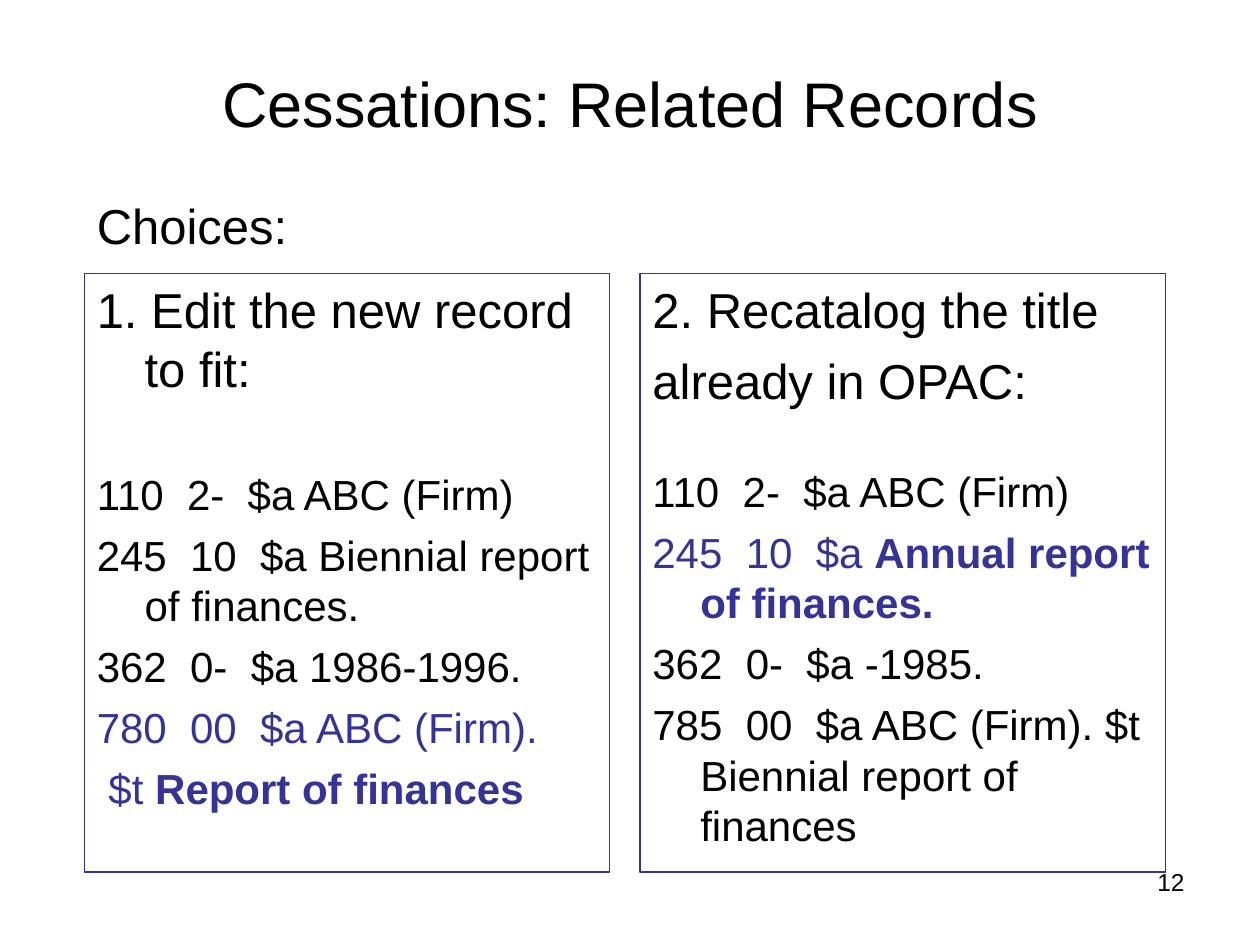
from dataclasses import dataclass

from pptx import Presentation
from pptx.dml.color import RGBColor
from pptx.enum import shapes, text
from pptx.util import Inches, Pt


@dataclass(frozen=True)
class Theme:
    font: str = "Arial"
    ink: RGBColor = RGBColor(0x00, 0x00, 0x00)
    accent: RGBColor = RGBColor(0x33, 0x33, 0x99)
    title: int = 36
    heading: int = 28
    field: int = 24
    number: int = 14


THEME = Theme()


@dataclass(frozen=True)
class Line:
    plain: str
    bold: str = ""
    size: int = THEME.field
    color: RGBColor = THEME.ink
    before: float = 6


@dataclass(frozen=True)
class Choice:
    left: float
    lines: tuple[Line, ...]


CHOICES = (
    Choice(0.67, (
        Line("1. Edit the new record to fit:", size=THEME.heading, before=0),
        Line("110  2-  $a ABC (Firm)", before=40.5),
        Line("245  10  $a Biennial report of finances."),
        Line("362  0-  $a 1986-1996."),
        Line("780  00  $a ABC (Firm).", color=THEME.accent),
        Line(" $t ", "Report of finances", color=THEME.accent),
    )),
    Choice(5.08, (
        Line("2. Recatalog the title", size=THEME.heading, before=0),
        Line("already in OPAC:", size=THEME.heading, before=7),
        Line("110  2-  $a ABC (Firm)", before=32),
        Line("245  10  $a ", "Annual report of finances.", color=THEME.accent),
        Line("362  0-  $a -1985."),
        Line("785  00  $a ABC (Firm). $t Biennial report of finances"),
    )),
)


def add_run(paragraph, content: str, *, size: int, color: RGBColor = THEME.ink,
            bold: bool = False) -> None:
    run = paragraph.add_run()
    run.text = content
    run.font.name = THEME.font
    run.font.size = Pt(size)
    run.font.bold = bold
    run.font.color.rgb = color


def place(shape, left: float, top: float, width: float, height: float) -> None:
    shape.left, shape.top = Inches(left), Inches(top)
    shape.width, shape.height = Inches(width), Inches(height)


def add_label(slide, content: str, left: float, top: float, width: float,
              height: float, *, size: int, align, wrap: bool) -> None:
    label = slide.shapes.add_textbox(Inches(left), Inches(top),
                                     Inches(width), Inches(height))
    label.text_frame.word_wrap = wrap
    paragraph = label.text_frame.paragraphs[0]
    paragraph.alignment = align
    add_run(paragraph, content, size=size)


def add_choice(slide, choice: Choice) -> None:
    panel = slide.shapes.add_shape(shapes.MSO_SHAPE.RECTANGLE, Inches(choice.left),
                                   Inches(2.17), Inches(4.17), Inches(4.75))
    panel.shadow.inherit = False
    panel.fill.background()
    panel.line.color.rgb = THEME.accent
    panel.line.width = Pt(0.75)
    frame = panel.text_frame
    frame.word_wrap = True
    frame.vertical_anchor = text.MSO_ANCHOR.TOP
    for index, line in enumerate(choice.lines):
        paragraph = frame.add_paragraph() if index else frame.paragraphs[0]
        paragraph.alignment = text.PP_ALIGN.LEFT
        paragraph.space_before = Pt(line.before)
        properties = paragraph._p.get_or_add_pPr()
        properties.set("marL", str(Inches(0.38)))
        properties.set("indent", str(Inches(-0.38)))
        add_run(paragraph, line.plain, size=line.size, color=line.color)
        if line.bold:
            add_run(paragraph, line.bold, size=line.size, color=line.color, bold=True)


def main() -> None:
    deck = Presentation()
    deck.slide_width, deck.slide_height = Inches(10), Inches(7.5)
    slide = deck.slides.add_slide(deck.slide_layouts[5])

    title = slide.shapes.title
    place(title, 0.5, 0.3, 9, 1.03)
    title.text_frame.vertical_anchor = text.MSO_ANCHOR.MIDDLE
    heading = title.text_frame.paragraphs[0]
    heading.alignment = text.PP_ALIGN.CENTER
    add_run(heading, "Cessations: Related Records", size=THEME.title)

    for choice in CHOICES:
        add_choice(slide, choice)

    add_label(slide, "Choices:", 0.67, 1.5, 1.71, 0.57, size=THEME.heading,
              align=text.PP_ALIGN.LEFT, wrap=False)
    add_label(slide, "12", 7.17, 6.83, 2.33, 0.52, size=THEME.number,
              align=text.PP_ALIGN.RIGHT, wrap=True)
    deck.save("out.pptx")


if __name__ == "__main__":
    main()
